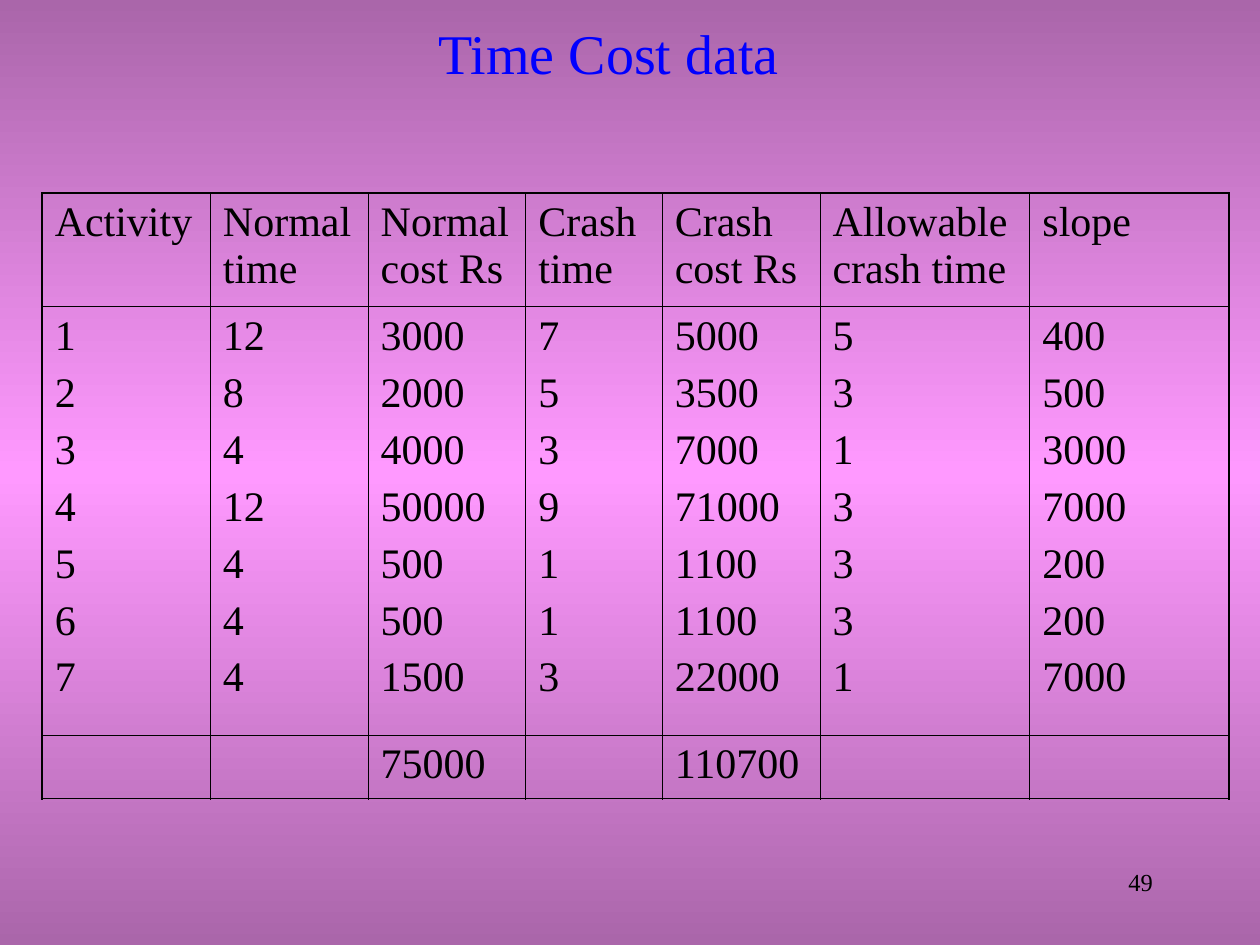
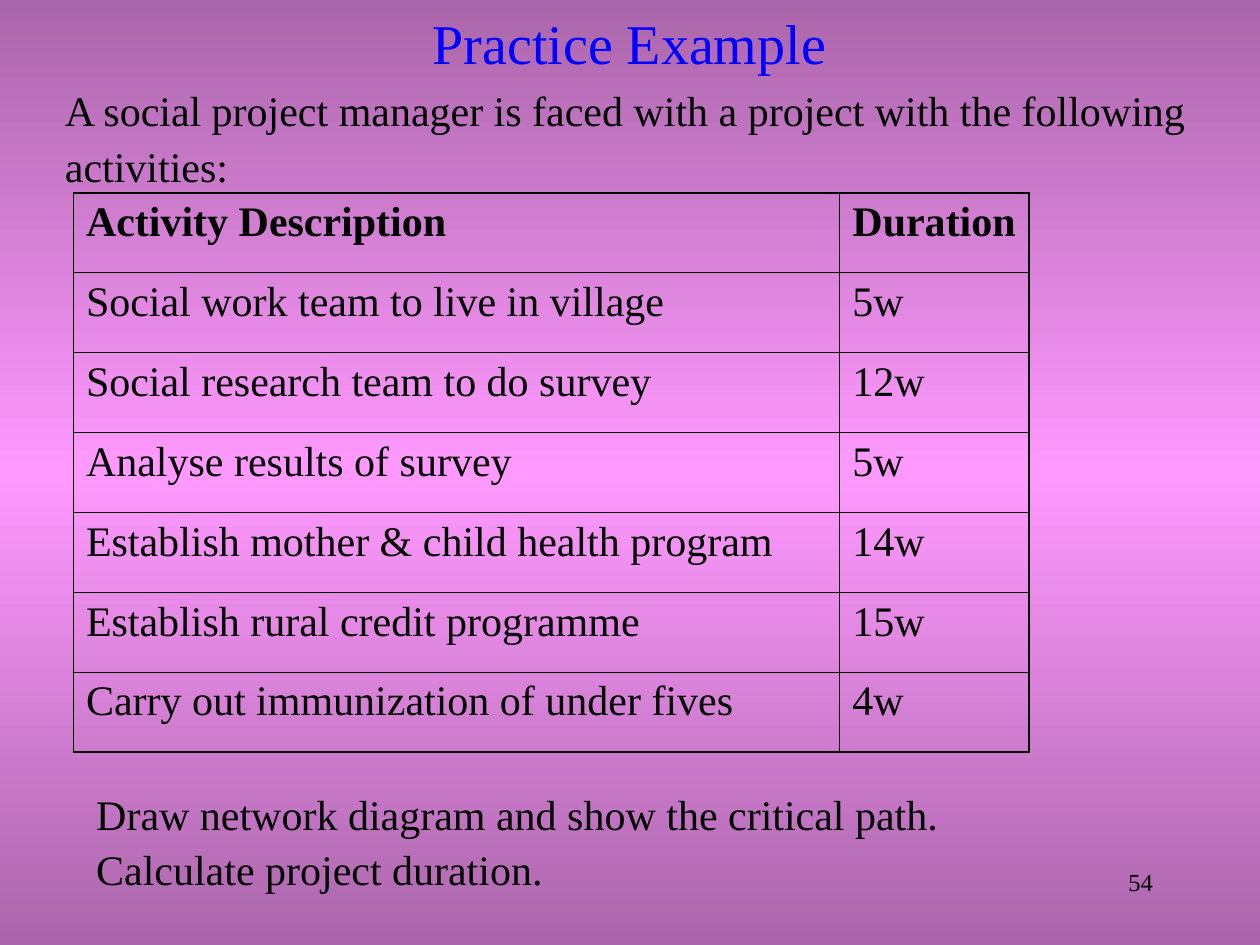
from lxml.etree import SubElement
from pptx import Presentation
from pptx.dml.color import RGBColor
from pptx.enum.text import MSO_ANCHOR, PP_ALIGN
from pptx.oxml import parse_xml
from pptx.oxml.ns import nsdecls, qn
from pptx.util import Cm, Pt

FONT = "Times New Roman"
BLACK = "000000"
TITLE_BLUE = "0000FF"
EDGE_PURPLE = "AA66AA"
MIDDLE_PINK = "FF99FF"
OUTER_LINE, INNER_LINE = 1.08, 0.45

TABLE_TOP = 3.89
PAGE_NUMBER_BOX = (18.2, 17.36, 5.29, 1.27)

COST_HEADINGS = ["Activity", "Normal time", "Normal cost Rs", "Crash time",
                 "Crash cost Rs", "Allowable crash time", "slope"]
COST_ROWS = [
    (1, 12, 3000, 7, 5000, 5, 400),
    (2, 8, 2000, 5, 3500, 3, 500),
    (3, 4, 4000, 3, 7000, 1, 3000),
    (4, 12, 50000, 9, 71000, 3, 7000),
    (5, 4, 500, 1, 1100, 3, 200),
    (6, 4, 500, 1, 1100, 3, 200),
    (7, 4, 1500, 3, 22000, 1, 7000),
]
COST_TOTALS = ["", "", "75000", "", "110700", "", ""]

ACTIVITY_ROWS = [
    ("Activity Description", "Duration"),
    ("Social work team to live in village", "5w"),
    ("Social research team to do survey", "12w"),
    ("Analyse results of survey", "5w"),
    ("Establish mother & child health program", "14w"),
    ("Establish rural credit programme", "15w"),
    ("Carry out immunization of under fives", "4w"),
]


def color(hex_value):
    return RGBColor.from_string(hex_value)


def style_paragraph(paragraph, size, hex_value=BLACK, bold=False):
    font = paragraph.font
    font.name = FONT
    font.size = Pt(size)
    font.bold = bold
    font.color.rgb = color(hex_value)


def add_text(slide, box, text, size=24, hex_value=BLACK, align=PP_ALIGN.LEFT,
             anchor=MSO_ANCHOR.TOP, line_spacing=1.0):
    frame = slide.shapes.add_textbox(*map(Cm, box)).text_frame
    frame.word_wrap = True
    frame.vertical_anchor = anchor
    paragraph = frame.paragraphs[0]
    paragraph.text = text
    paragraph.alignment = align
    paragraph.line_spacing = line_spacing
    style_paragraph(paragraph, size, hex_value)


def paint_background(slide):
    """Fill the slide with a vertical purple-pink-purple gradient."""
    stops = "".join(
        f'<a:gs pos="{position}"><a:srgbClr val="{hex_value}"/></a:gs>'
        for position, hex_value in
        [(0, EDGE_PURPLE), (50000, MIDDLE_PINK), (100000, EDGE_PURPLE)])
    background = parse_xml(
        f'<p:bg {nsdecls("p", "a")}><p:bgPr><a:gradFill rotWithShape="0">'
        f'<a:gsLst>{stops}</a:gsLst><a:lin ang="5400000" scaled="0"/>'
        '</a:gradFill><a:effectLst/></p:bgPr></p:bg>')
    slide.element.cSld.insert(0, background)


def add_base_slide(presentation, title, title_box, page_number):
    """Add a slide with the shared background, title and page number."""
    slide = presentation.slides.add_slide(presentation.slide_layouts[6])
    paint_background(slide)
    add_text(slide, PAGE_NUMBER_BOX, page_number, 14, align=PP_ALIGN.RIGHT)
    add_text(slide, title_box, title, 32, TITLE_BLUE, PP_ALIGN.CENTER,
             MSO_ANCHOR.MIDDLE)
    return slide


def set_borders(cell, outer_sides):
    """Draw the four borders, heavier on the sides that are table edges."""
    properties = cell._tc.get_or_add_tcPr()
    for side in "LRTB":
        width = OUTER_LINE if side in outer_sides else INNER_LINE
        line = SubElement(properties, qn(f"a:ln{side}"), w=str(int(Pt(width))))
        fill = SubElement(line, qn("a:solidFill"))
        SubElement(fill, qn("a:srgbClr"), val=BLACK)


def add_grid(slide, left, top, column_widths, row_heights, rows,
             bold_header=False):
    """Add a transparent ruled table; line breaks in a cell part paragraphs."""
    row_count, column_count = len(row_heights), len(column_widths)
    table = slide.shapes.add_table(
        row_count, column_count, Cm(left), Cm(top),
        Cm(sum(column_widths)), Cm(sum(row_heights))).table
    table.first_row = table.horz_banding = False
    for column, width in zip(table.columns, column_widths):
        column.width = Cm(width)
    for row, height in zip(table.rows, row_heights):
        row.height = Cm(height)
    for r, values in enumerate(rows):
        for c, value in enumerate(values):
            cell = table.cell(r, c)
            edges = {"L": c == 0, "R": c == column_count - 1,
                     "T": r == 0, "B": r == row_count - 1}
            set_borders(cell, [side for side in edges if edges[side]])
            cell.fill.background()
            cell.text_frame.text = value
            for index, paragraph in enumerate(cell.text_frame.paragraphs):
                if index:
                    paragraph.space_before = Pt(6)
                style_paragraph(paragraph, 24, bold=bold_header and r == 0)


def build_cost_slide(presentation):
    slide = add_base_slide(presentation, "Time Cost data",
                           (1.48, 0.42, 21.59, 1.27), "49")
    stacked = ["\n".join(map(str, values)) for values in zip(*COST_ROWS)]
    add_grid(slide, 0.85, TABLE_TOP,
             [3.39, 3.18, 3.18, 2.75, 3.18, 4.23, 4.02], [2.29, 8.64, 1.28],
             [COST_HEADINGS, stacked, COST_TOTALS])


def build_practice_slide(presentation):
    slide = add_base_slide(presentation, "Practice Example",
                           (1.9, 0, 21.59, 1.69), "54")
    add_text(slide, (1.06, 1.48, 23.28, 2.29),
             "A social project manager is faced with a project with the "
             "following activities:", line_spacing=1.1)
    add_grid(slide, 1.48, TABLE_TOP, [15.45, 3.82],
             [1.61] * len(ACTIVITY_ROWS), ACTIVITY_ROWS, bold_header=True)
    add_text(slide, (1.69, 15.66, 20.74, 2.29),
             "Draw network diagram and show the critical path. "
             "Calculate project duration.", line_spacing=1.1)


def main():
    presentation = Presentation()
    presentation.slide_width = Cm(25.4)
    presentation.slide_height = Cm(19.05)
    build_cost_slide(presentation)
    build_practice_slide(presentation)
    presentation.save("out.pptx")


if __name__ == "__main__":
    main()
